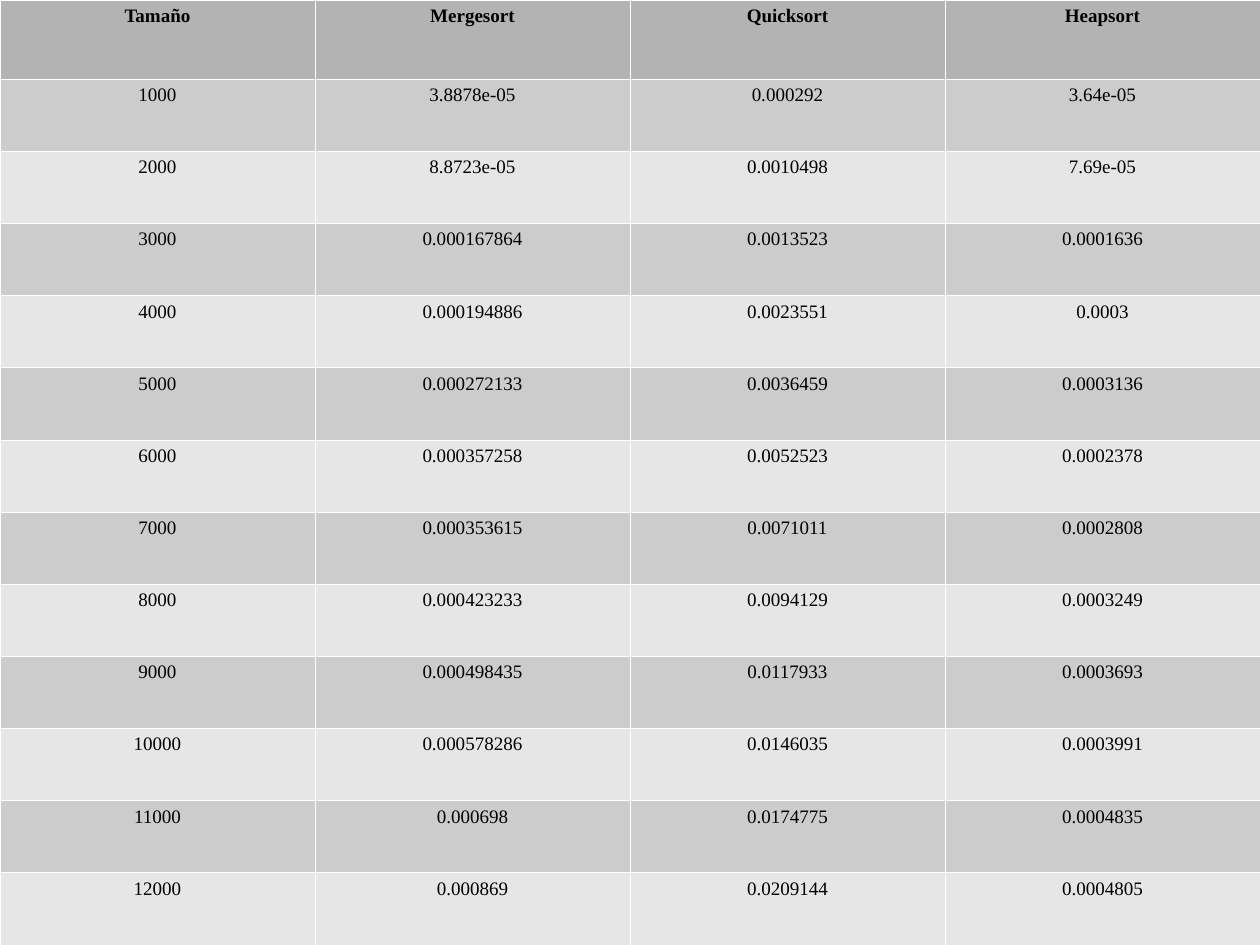
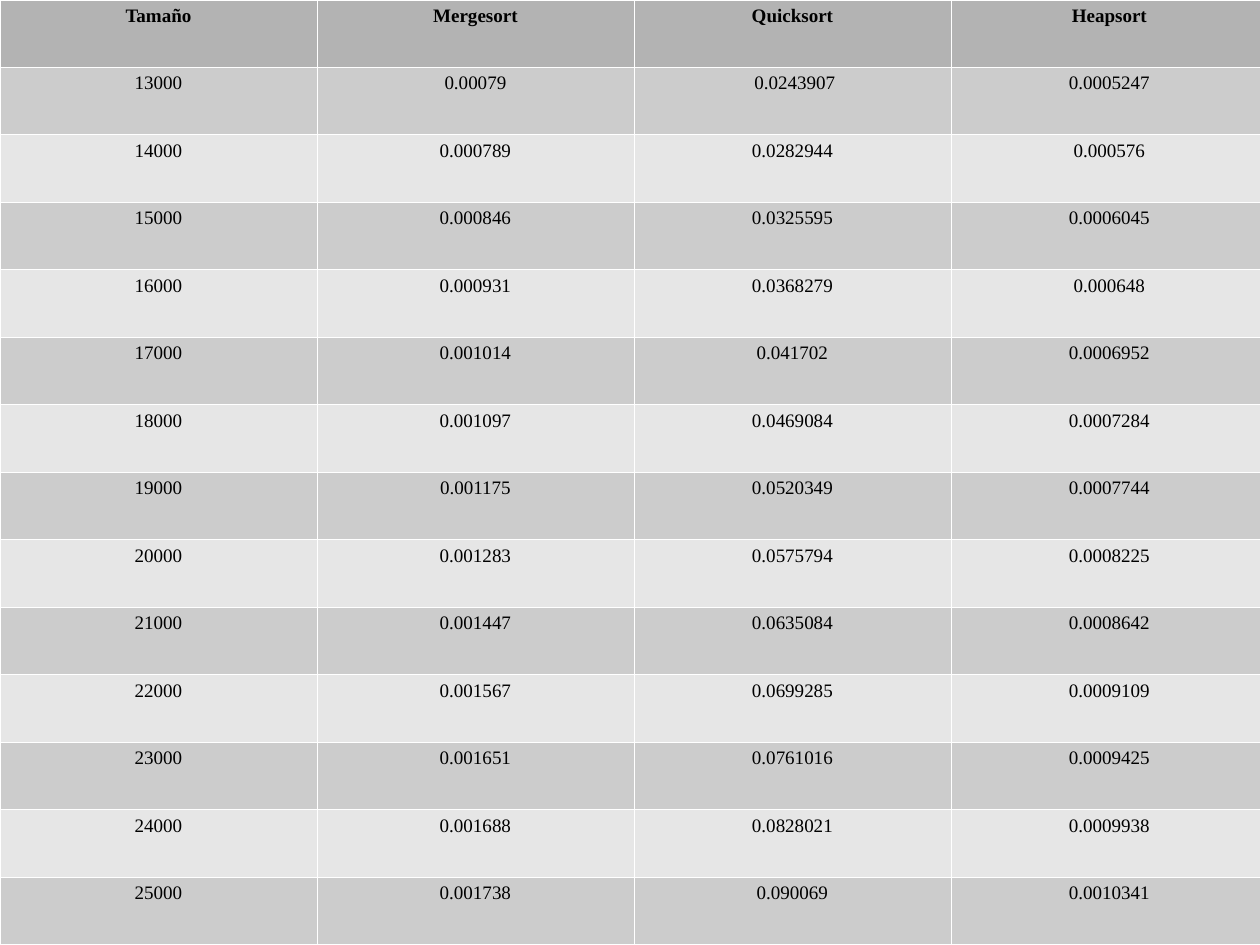
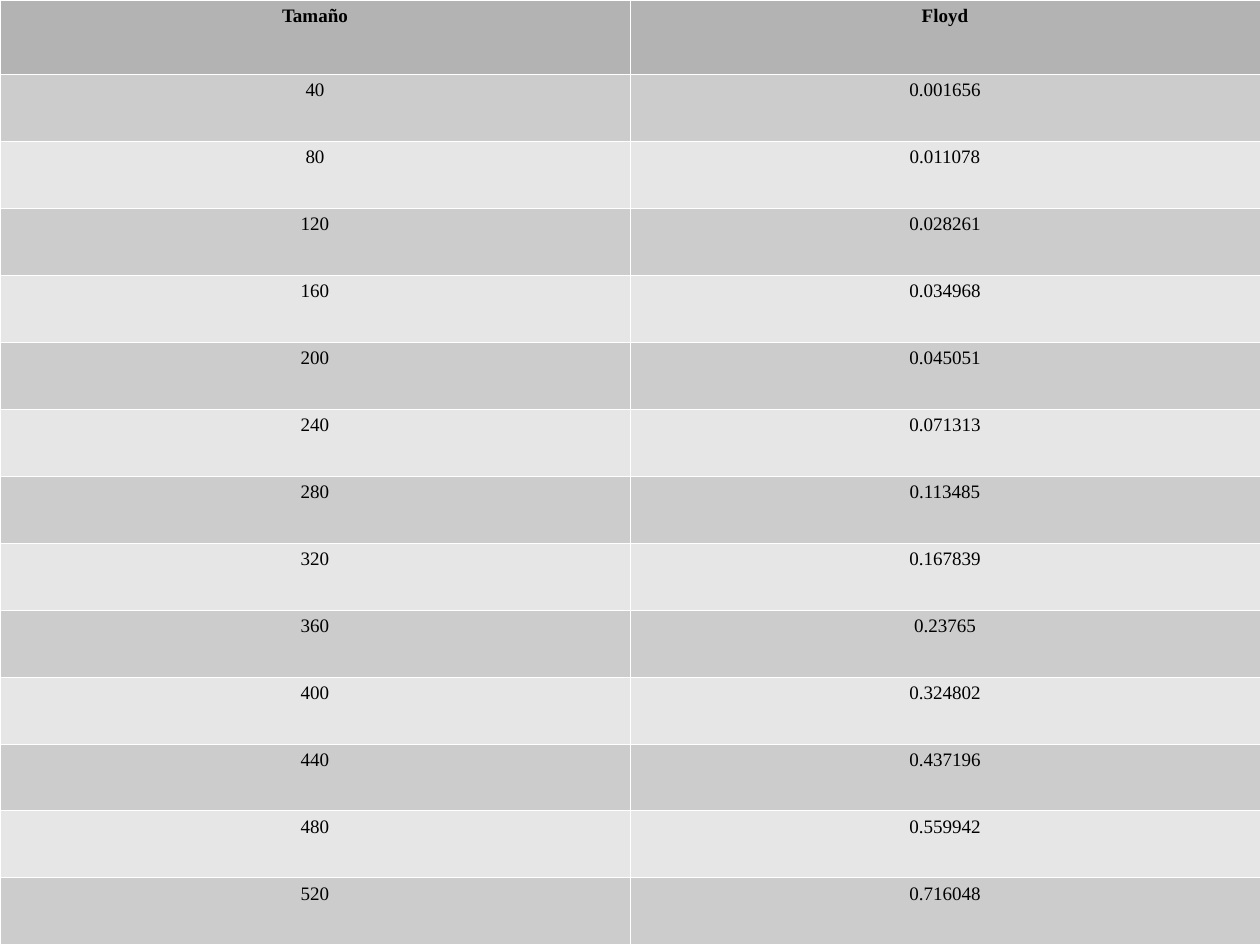
from dataclasses import dataclass

from lxml.etree import SubElement
from pptx import Presentation
from pptx.dml.color import RGBColor
from pptx.enum.text import MSO_ANCHOR, PP_ALIGN
from pptx.oxml.ns import qn
from pptx.util import Emu, Pt

PX = 8000  # EMU per px
WIDTH, HEIGHT = 1260, 945


def px(n):
    return Emu(round(n * PX))


@dataclass(frozen=True)
class Theme:
    font: str = "Times New Roman"
    size: float = 12
    text: str = "000000"
    header: str = "B3B3B3"
    bands: tuple = ("CCCCCC", "E6E6E6")
    border: str = "FFFFFF"
    border_width: float = 0.06


class Deck:
    def __init__(self, theme):
        self.theme = theme
        self.prs = Presentation()
        self.prs.slide_width, self.prs.slide_height = px(WIDTH), px(HEIGHT)
        self.s = None

    def slide(self):
        self.s = self.prs.slides.add_slide(self.prs.slide_layouts[6])

    def table(self, rows, width, header_height):
        """Full-height table: equal columns, equal rows below the header."""
        n_rows, n_cols = len(rows), len(rows[0])
        tbl = self.s.shapes.add_table(
            n_rows, n_cols, 0, 0, px(width), px(HEIGHT)).table
        tbl.horz_banding = False
        for col in tbl.columns:
            col.width = px(width / n_cols)
        body_height = (HEIGHT - header_height) / (n_rows - 1)
        for i, (row, values) in enumerate(zip(tbl.rows, rows)):
            row.height = px(body_height if i else header_height)
            fill = self.theme.bands[(i - 1) % 2] if i else self.theme.header
            for cell, value in zip(row.cells, values):
                self.cell(cell, value, fill, bold=i == 0)

    def cell(self, cell, text, fill, bold):
        cell.vertical_anchor = MSO_ANCHOR.TOP
        p = cell.text_frame.paragraphs[0]
        p.alignment = PP_ALIGN.CENTER
        r = p.add_run()
        r.text = text
        fmt = {"name": self.theme.font, "size": Pt(self.theme.size), "bold": bold}
        for key, value in fmt.items():
            setattr(r.font, key, value)
        r.font.color.rgb = RGBColor.from_string(self.theme.text)
        self.borders(cell)
        cell.fill.solid()
        cell.fill.fore_color.rgb = RGBColor.from_string(fill)

    def borders(self, cell):
        tc_pr = cell._tc.get_or_add_tcPr()
        for side in ("a:lnL", "a:lnR", "a:lnT", "a:lnB"):
            ln = SubElement(tc_pr, qn(side), w=str(Pt(self.theme.border_width)))
            solid = SubElement(ln, qn("a:solidFill"))
            SubElement(solid, qn("a:srgbClr"), val=self.theme.border)


def with_sizes(names, times, step, first):
    """Header row, then each row of times led by its evenly stepped size."""
    body = [(str(first + i * step), *row) for i, row in enumerate(times)]
    return [("Tamaño", *names), *body]


# Measured times in seconds
SORTS = ("Mergesort", "Quicksort", "Heapsort")
SMALL_SORTS = [
    ("3.8878e-05", "0.000292", "3.64e-05"),
    ("8.8723e-05", "0.0010498", "7.69e-05"),
    ("0.000167864", "0.0013523", "0.0001636"),
    ("0.000194886", "0.0023551", "0.0003"),
    ("0.000272133", "0.0036459", "0.0003136"),
    ("0.000357258", "0.0052523", "0.0002378"),
    ("0.000353615", "0.0071011", "0.0002808"),
    ("0.000423233", "0.0094129", "0.0003249"),
    ("0.000498435", "0.0117933", "0.0003693"),
    ("0.000578286", "0.0146035", "0.0003991"),
    ("0.000698", "0.0174775", "0.0004835"),
    ("0.000869", "0.0209144", "0.0004805"),
]
LARGE_SORTS = [
    ("0.00079", " 0.0243907", "0.0005247"),
    ("0.000789", "0.0282944", "0.000576"),
    ("0.000846", "0.0325595", "0.0006045"),
    ("0.000931", "0.0368279", "0.000648"),
    ("0.001014", "0.041702", "0.0006952"),
    ("0.001097", "0.0469084", "0.0007284"),
    ("0.001175", "0.0520349", "0.0007744"),
    ("0.001283", "0.0575794", "0.0008225"),
    ("0.001447", "0.0635084", "0.0008642"),
    ("0.001567", "0.0699285", "0.0009109"),
    ("0.001651", "0.0761016", "0.0009425"),
    ("0.001688", "0.0828021", "0.0009938"),
    ("0.001738", "0.090069", "0.0010341"),
]
FLOYD = [
    ("0.001656",), ("0.011078",), ("0.028261",), ("0.034968",), ("0.045051",),
    ("0.071313",), ("0.113485",), ("0.167839",), ("0.23765",), ("0.324802",),
    ("0.437196",), ("0.559942",), ("0.716048",),
]


def main():
    deck = Deck(Theme())

    # Sorting, sizes 1000 to 12000
    deck.slide()
    deck.table(with_sizes(SORTS, SMALL_SORTS, step=1000, first=1000),
               width=WIDTH, header_height=79)

    # Sorting, sizes 13000 to 25000
    deck.slide()
    deck.table(with_sizes(SORTS, LARGE_SORTS, step=1000, first=13000),
               width=1268, header_height=67)

    # Floyd, sizes 40 to 520
    deck.slide()
    deck.table(with_sizes(("Floyd",), FLOYD, step=40, first=40),
               width=WIDTH, header_height=74)

    deck.prs.save("out.pptx")


if __name__ == "__main__":
    main()
